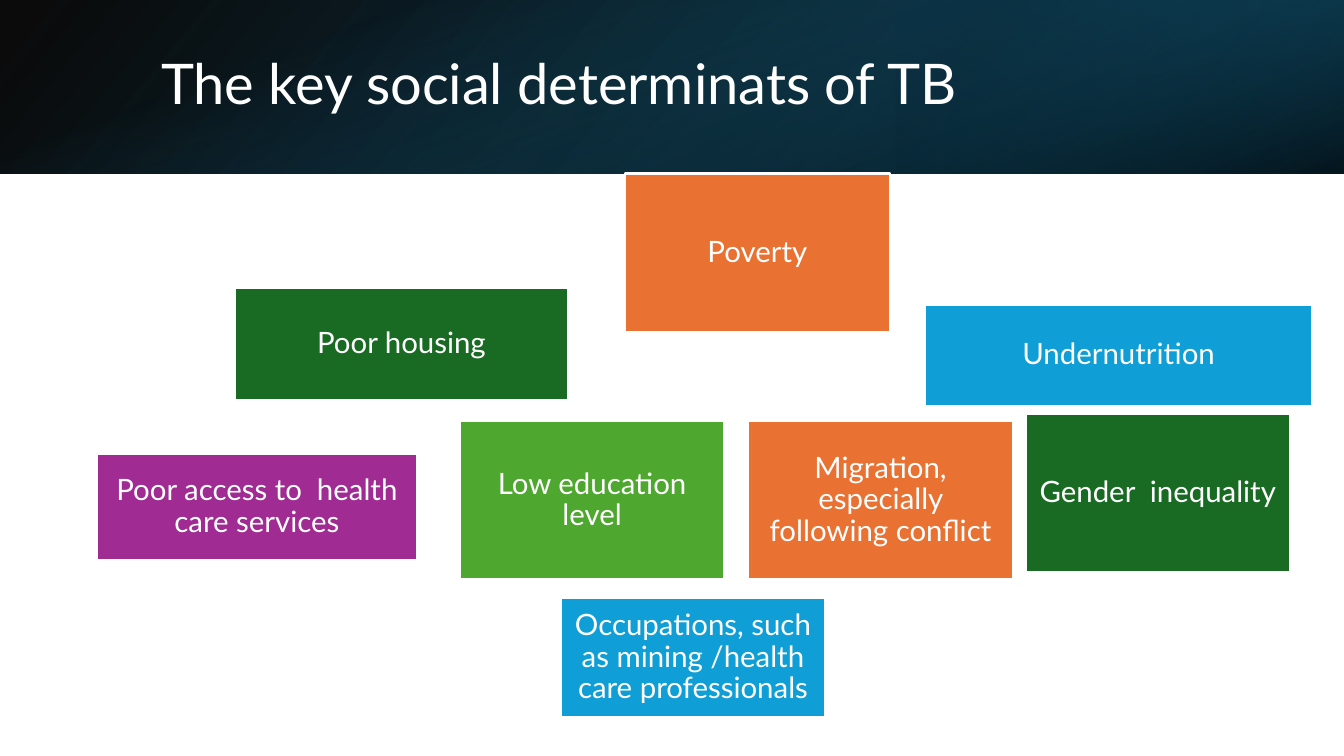
"""Build the slide on the key social determinants of TB."""
from lxml.etree import SubElement
from pptx import Presentation
from pptx.dml.color import RGBColor
from pptx.enum.shapes import MSO_SHAPE
from pptx.enum.text import MSO_ANCHOR, PP_ALIGN
from pptx.oxml.ns import qn
from pptx.util import Pt

COLORS = {
    "white": "FFFFFF",
    "black": "000000",
    "navy": "104862",
    "deep": "0B3041",
    "teal": "156082",
    "orange": "E97132",
    "forest": "196B24",
    "blue": "0F9ED5",
    "purple": "A02B93",
    "green": "4EA72E",
}
PAGE_WIDTH, PAGE_HEIGHT, BAND_HEIGHT = 960, 540, 124
CARD_WIDTH, CARD_HEIGHT = 189, 113


def color(name):
    return RGBColor.from_string(COLORS[name])


class Page:
    font = "Lato"

    def __init__(self, deck):
        self.slide = deck.slides.add_slide(deck.slide_layouts[6])

    def rectangle(self, left, top, width, height):
        shape = self.slide.shapes.add_shape(
            MSO_SHAPE.RECTANGLE, Pt(left), Pt(top), Pt(width), Pt(height))
        shape.shadow.inherit = False
        return shape

    def label(self, shape, text, size, align):
        frame = shape.text_frame
        frame.word_wrap = True
        frame.vertical_anchor = MSO_ANCHOR.MIDDLE
        paragraph = frame.paragraphs[0]
        paragraph.text = text
        paragraph.alignment = align
        paragraph.line_spacing = 0.9
        paragraph.font.name = self.font
        paragraph.font.size = Pt(size)
        paragraph.font.color.rgb = color("white")
        return frame

    def gradient(self, place, stops, angle, rotation=0, flipped=False):
        shape = self.rectangle(*place)
        shape.rotation = rotation
        shape.line.fill.background()
        shape.fill.gradient()
        shape.fill.gradient_angle = 360 - angle
        properties = shape._element.spPr
        for stop, (position, name, _) in zip(shape.fill.gradient_stops, stops):
            stop.position = position
            stop.color.rgb = color(name)
        for tint, (_, _, opacity) in zip(properties.iter(qn("a:srgbClr")), stops):
            SubElement(tint, qn("a:alpha")).set("val", str(opacity * 1000))
        if flipped:
            properties.find(qn("a:xfrm")).set("flipH", "1")

    def title(self, text, left, top, width, height):
        box = self.slide.shapes.add_textbox(Pt(left), Pt(top), Pt(width), Pt(height))
        self.label(box, text, 40, PP_ALIGN.LEFT)

    def card(self, text, fill, left, top, width=CARD_WIDTH, height=CARD_HEIGHT):
        shape = self.rectangle(left, top, width, height)
        shape.fill.solid()
        shape.fill.fore_color.rgb = color(fill)
        shape.line.color.rgb = color("white")
        shape.line.width = Pt(1.5)
        frame = self.label(shape, text, 21, PP_ALIGN.CENTER)
        frame.margin_left = frame.margin_right = Pt(6.3)
        frame.margin_top = frame.margin_bottom = Pt(6.3)


def main():
    deck = Presentation()
    deck.slide_width, deck.slide_height = Pt(PAGE_WIDTH), Pt(PAGE_HEIGHT)
    page = Page(deck)

    page.gradient((0, 0, PAGE_WIDTH, BAND_HEIGHT),
                  [(0, "black", 96), (1, "navy", 100)], 140, flipped=True)
    page.gradient((PAGE_WIDTH * 2 / 3, 0, PAGE_WIDTH / 3, BAND_HEIGHT),
                  [(0.19, "deep", 68), (1, "teal", 79)], 320, 180, flipped=True)
    offset = (PAGE_WIDTH - BAND_HEIGHT) / 2
    page.gradient((offset, -offset, BAND_HEIGHT, PAGE_WIDTH),
                  [(0.23, "teal", 0), (0.99, "black", 74)], 340, 90)
    page.title("The key social determinats of TB", 108, 27.5, 790.5, 69)

    cards = [
        ("Poverty", "orange", 446.5, BAND_HEIGHT),
        ("Poor housing", "forest", 168, 206, 237.5, 80),
        ("Undernutrition", "blue", 661, 217.5, 276, 72.5),
        ("Poor access to  health care services", "purple", 69, 324, 229, 76),
        ("Low education level", "green", 328.5, 301),
        ("Migration, especially following conflict", "orange", 534.5, 301),
        ("Gender  inequality", "forest", 732.5, 296),
        ("Occupations, such as mining /health care professionals",
         "blue", 400.5, 427, CARD_WIDTH, 85.5),
    ]
    for card in cards:
        page.card(*card)
    deck.save("out.pptx")


if __name__ == "__main__":
    main()
